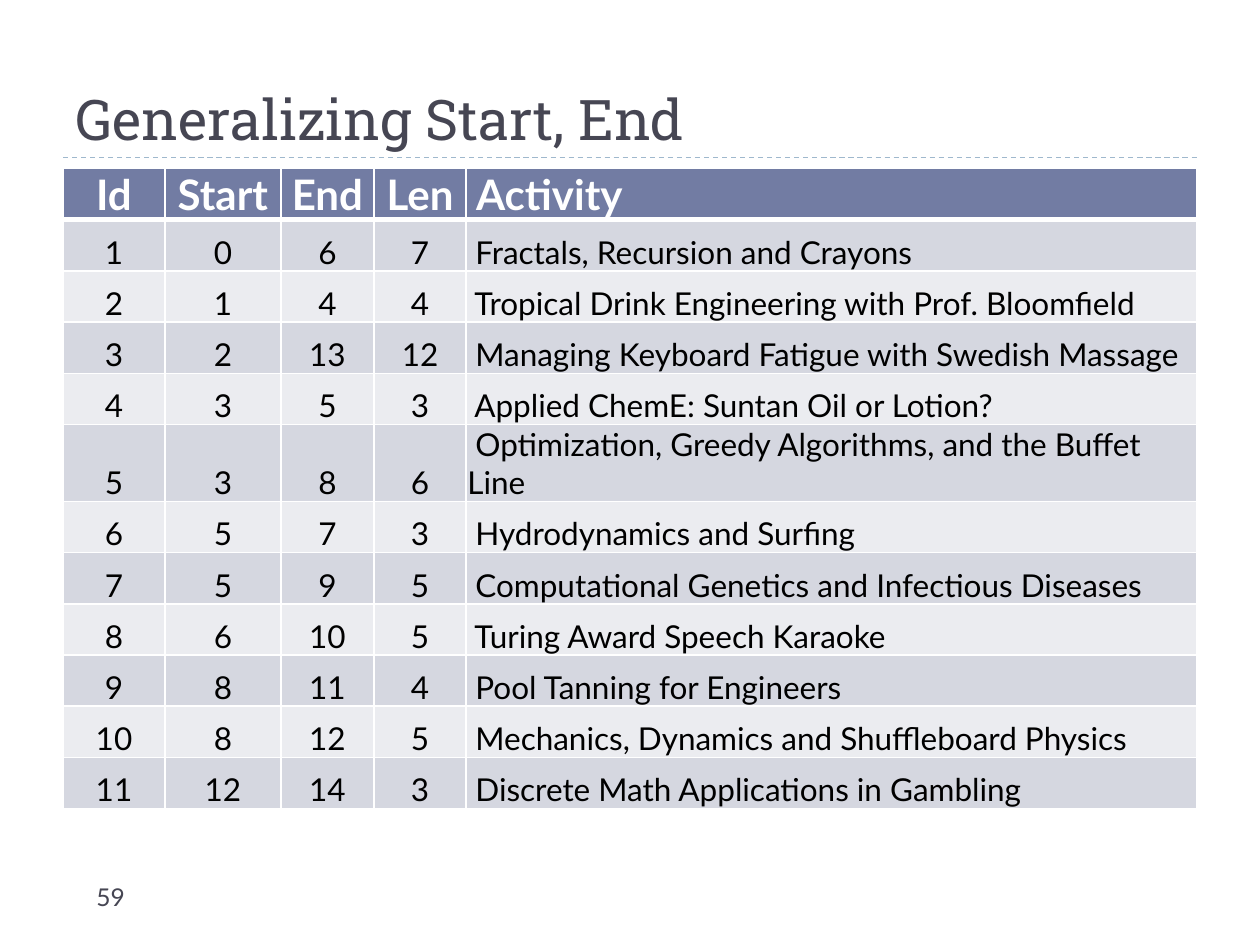
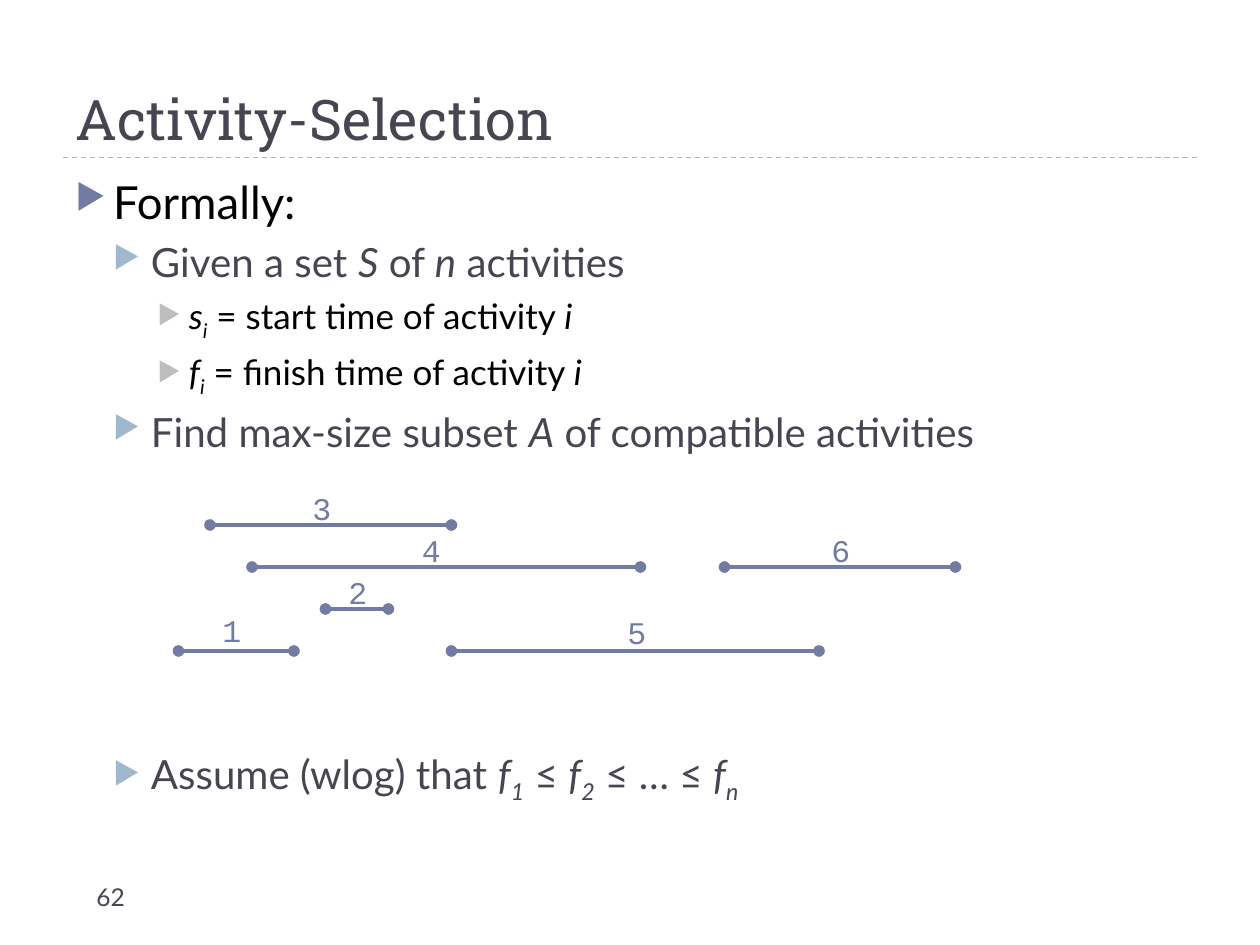
from dataclasses import dataclass
from lxml.etree import SubElement
from pptx import Presentation
from pptx.dml.color import RGBColor
from pptx.enum.dml import MSO_LINE
from pptx.enum.shapes import MSO_CONNECTOR
from pptx.enum.text import MSO_ANCHOR, MSO_AUTO_SIZE, PP_ALIGN
from pptx.oxml import parse_xml
from pptx.oxml.ns import nsdecls, qn
from pptx.util import Pt


@dataclass(frozen=True)
class Theme:
    ink: str = "464653"
    black: str = "000000"
    white: str = "FFFFFF"
    accent: str = "727CA3"
    rule: str = "9FB8CD"
    muted: str = "BDBDBD"
    bands: tuple = ("D5D7E0", "EBECF0")
    heading_font: str = "Roboto Slab"
    body_font: str = "Lato"
    label_font: str = "Courier New"
    title_size: int = 32
    number_size: int = 14
    header_size: int = 24
    cell_size: int = 18
    label_size: int = 18


@dataclass(frozen=True)
class Box:
    left: float
    top: float
    width: float
    height: float

    def lengths(self):
        return [Pt(value) for value in (self.left, self.top, self.width, self.height)]


@dataclass(frozen=True)
class Level:
    size: int
    color: str
    bullet: str
    margin: float
    hanging: float
    before: float


THEME = Theme()
LEVELS = (
    Level(26, THEME.black, THEME.accent, 21.6, 21.6, 6),
    Level(23, THEME.ink, THEME.rule, 43.2, 21.6, 5),
    Level(20, THEME.black, THEME.muted, 64.8, 18, 5),
)
TITLE = Box(36, 12, 648, 78)
NUMBER = Box(48, 500.4, 156, 28.8)
CONTENT = Box(36, 96, 648, 388.8)
TIMELINE = Box(102, 300, 444, 72)

COLUMN_WIDTHS = (58.3, 66.2, 53.3, 52.6, 417.6)
ROW_HEIGHT = 29.28
HEADINGS = ("Id", "Start", "End", "Len", "Activity")
ACTIVITIES = (
    (0, 6, "Fractals, Recursion and Crayons"),
    (1, 4, "Tropical Drink Engineering with Prof. Bloomfield"),
    (2, 13, "Managing Keyboard Fatigue with Swedish Massage"),
    (3, 5, "Applied ChemE: Suntan Oil or Lotion?"),
    (3, 8, "Optimization, Greedy Algorithms, and the Buffet Line"),
    (5, 7, "Hydrodynamics and Surfing"),
    (5, 9, "Computational Genetics and Infectious Diseases"),
    (6, 10, "Turing Award Speech Karaoke"),
    (8, 11, "Pool Tanning for Engineers"),
    (8, 12, "Mechanics, Dynamics and Shuffleboard Physics"),
    (12, 14, "Discrete Math Applications in Gambling"),
)

PLAIN, ITALIC, SUBSCRIPT = range(3)
TIMELINE_GAP = 168
OUTLINE = (
    (0, None, [("Formally:", PLAIN)]),
    (1, None, [("Given a set ", PLAIN), ("S", ITALIC), (" of ", PLAIN),
               ("n", ITALIC), (" activities", PLAIN)]),
    (2, None, [("s", ITALIC), ("i", SUBSCRIPT),
               (" = start time of activity ", PLAIN), ("i", ITALIC)]),
    (2, None, [("f", ITALIC), ("i", SUBSCRIPT),
               (" = finish time of activity ", PLAIN), ("i", ITALIC)]),
    (1, None, [("Find max-size subset ", PLAIN), ("A", ITALIC),
               (" of compatible activities", PLAIN)]),
    (1, TIMELINE_GAP, [("Assume (wlog) that ", PLAIN), ("f", ITALIC), ("1", SUBSCRIPT),
                       (" ≤ ", PLAIN), ("f", ITALIC), ("2", SUBSCRIPT),
                       (" ≤ … ≤ ", PLAIN), ("f", ITALIC), ("n", SUBSCRIPT)]),
)

LANE_STEP = 24
INTERVALS = (
    ("1", 3, 0, 66, 18, 26.4),
    ("2", 2, 84, 120, 90, 24),
    ("3", 0, 18, 156, 69.4, 24),
    ("4", 1, 42, 264, 132, 24),
    ("5", 3, 156, 366, 249.4, 25),
    ("6", 1, 312, 444, 366, 24),
)


def assign(target, values):
    for name, value in values.items():
        setattr(target, name, value)


def add_span(para, text, font, size, color, bold=False, italic=False):
    span = para.add_run()
    span.text = text
    assign(span.font, {"name": font, "size": Pt(size), "bold": bold, "italic": italic})
    span.font.color.rgb = RGBColor.from_string(color)
    return span


def add_text_box(shapes, box, **frame_values):
    frame = shapes.add_textbox(*box.lengths()).text_frame
    assign(frame, {"word_wrap": True, **frame_values})
    return frame


def add_line(shapes, start, end, color, width):
    line = shapes.add_connector(
        MSO_CONNECTOR.STRAIGHT, *[Pt(value) for value in (*start, *end)])
    line.line.color.rgb = RGBColor.from_string(color)
    line.line.width = Pt(width)
    SubElement(line._element.spPr, qn("a:effectLst"))
    return line


def add_page(deck, title, number):
    page = deck.slides.add_slide(deck.slide_layouts[6])
    bottom = TITLE.top + TITLE.height
    rule = add_line(page.shapes, (TITLE.left, bottom),
                    (TITLE.left + TITLE.width, bottom), THEME.rule, 0.75)
    rule.line.dash_style = MSO_LINE.DASH
    heading = add_text_box(page.shapes, TITLE, vertical_anchor=MSO_ANCHOR.BOTTOM)
    add_span(heading.paragraphs[0], title, THEME.heading_font, THEME.title_size, THEME.ink)
    footer = add_text_box(page.shapes, NUMBER)
    add_span(footer.paragraphs[0], str(number), THEME.body_font, THEME.number_size, THEME.ink)
    return page


def set_borders(cell, widths):
    properties = cell._tc.get_or_add_tcPr()
    for index, (side, width) in enumerate(widths.items()):
        properties.insert(index, parse_xml(
            f'<a:ln{side} {nsdecls("a")} w="{Pt(width)}"><a:solidFill>'
            f'<a:srgbClr val="{THEME.white}"/></a:solidFill></a:ln{side}>'))


def fill_cell(cell, text, row, centred):
    header = row == 0
    assign(cell, {"vertical_anchor": MSO_ANCHOR.BOTTOM, "margin_left": Pt(0.72),
                  "margin_right": Pt(0.72), "margin_top": Pt(0.72), "margin_bottom": 0})
    cell.fill.solid()
    cell.fill.fore_color.rgb = RGBColor.from_string(
        THEME.accent if header else THEME.bands[(row - 1) % 2])
    set_borders(cell, {"L": 1, "R": 1, "T": 3 if row == 1 else 1, "B": 3 if header else 1})
    para = cell.text_frame.paragraphs[0]
    para.alignment = PP_ALIGN.CENTER if centred else PP_ALIGN.LEFT
    add_span(para, text if centred else f" {text}", THEME.body_font,
             THEME.header_size if header else THEME.cell_size,
             THEME.white if header else THEME.black, bold=header)


def add_activity_table(page, box):
    rows = [HEADINGS] + [
        (identifier, start, end, end - start + 1, name)
        for identifier, (start, end, name) in enumerate(ACTIVITIES, 1)]
    area = Box(box.left, box.top, box.width, ROW_HEIGHT * len(rows))
    table = page.shapes.add_table(len(rows), len(HEADINGS), *area.lengths()).table
    for column, width in zip(table.columns, COLUMN_WIDTHS):
        column.width = Pt(width)
    for row, values in enumerate(rows):
        table.rows[row].height = Pt(ROW_HEIGHT)
        for column, value in enumerate(values):
            fill_cell(table.cell(row, column), str(value), row, column < len(HEADINGS) - 1)


def set_bullet(para, level):
    properties = para._p.get_or_add_pPr()
    properties.set("marL", str(Pt(level.margin)))
    properties.set("indent", str(-Pt(level.hanging)))
    color = SubElement(properties, qn("a:buClr"))
    SubElement(color, qn("a:srgbClr"), val=level.bullet)
    SubElement(properties, qn("a:buSzPct"), val="76000")
    SubElement(properties, qn("a:buChar"), char="▶")


def add_outline(page, box):
    frame = add_text_box(page.shapes, box)
    for index, (depth, gap, spans) in enumerate(OUTLINE):
        para = frame.add_paragraph() if index else frame.paragraphs[0]
        level = LEVELS[depth]
        assign(para, {"level": depth, "alignment": PP_ALIGN.JUSTIFY,
                      "space_before": Pt(gap or level.before)})
        set_bullet(para, level)
        for text, kind in spans:
            span = add_span(para, text, THEME.body_font, level.size, level.color,
                            italic=kind != PLAIN)
            if kind == SUBSCRIPT:
                span.font._element.set("baseline", "-25000")


def add_timeline(page, box):
    shapes = page.shapes.add_group_shape().shapes
    for name, lane, start, end, label_left, lift in INTERVALS:
        height = box.top + lane * LANE_STEP
        line = add_line(shapes, (box.left + start, height),
                        (box.left + end, height), THEME.accent, 2.25)
        outline = line.line._get_or_add_ln()
        for tip in ("a:headEnd", "a:tailEnd"):
            SubElement(outline, qn(tip), type="oval")
        label = add_text_box(shapes, Box(box.left + label_left, height - lift, 26.6, 31),
                             word_wrap=False, auto_size=MSO_AUTO_SIZE.SHAPE_TO_FIT_TEXT)
        add_span(label.paragraphs[0], name, THEME.label_font, THEME.label_size, THEME.accent)


def main():
    deck = Presentation()
    assign(deck, {"slide_width": Pt(720), "slide_height": Pt(540)})
    add_activity_table(add_page(deck, "Generalizing Start, End", 59), CONTENT)
    page = add_page(deck, "Activity-Selection", 62)
    add_outline(page, CONTENT)
    add_timeline(page, TIMELINE)
    deck.save("out.pptx")


main()
